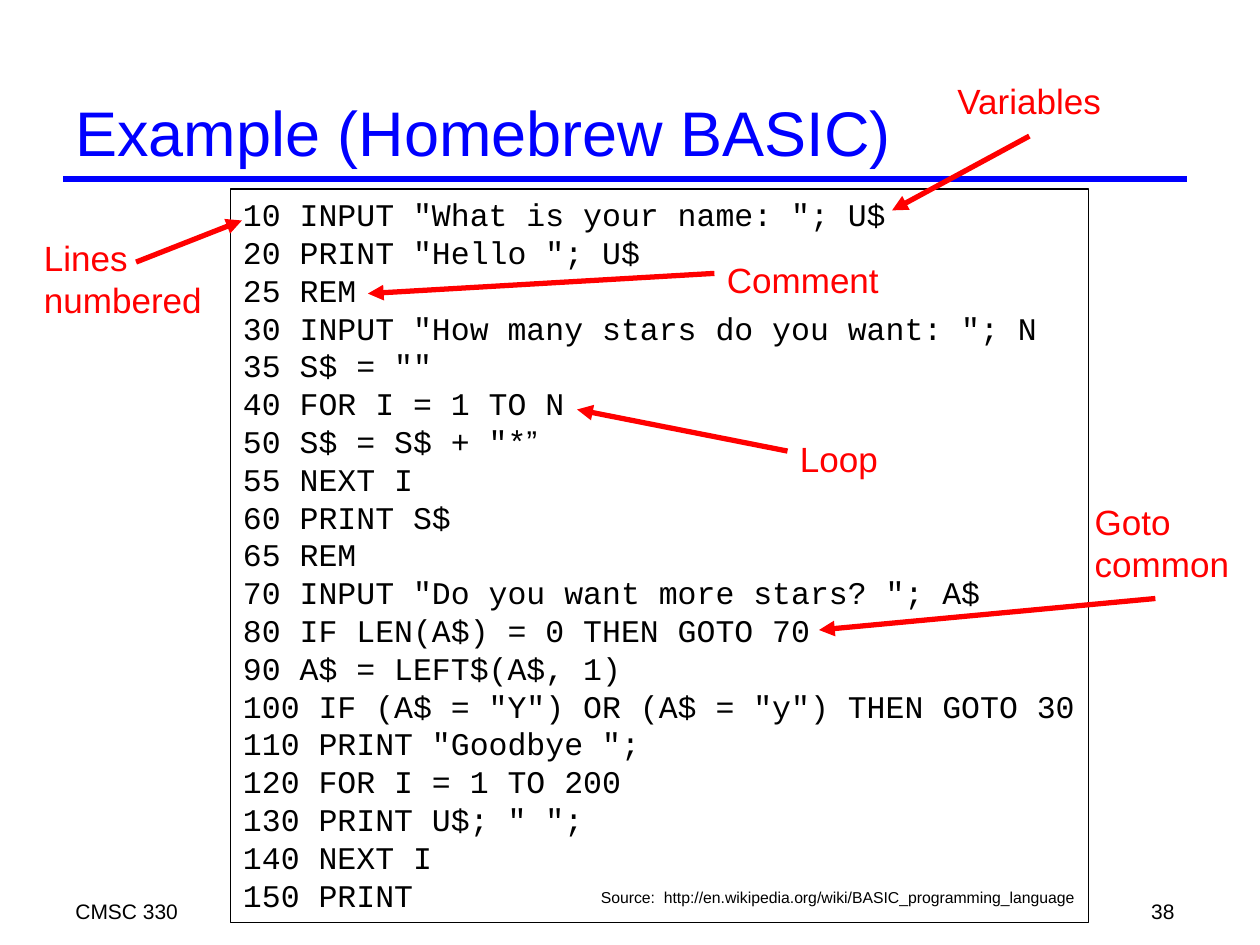
from lxml import etree
from pptx import Presentation
from pptx.dml.color import RGBColor
from pptx.enum.shapes import MSO_CONNECTOR, MSO_SHAPE
from pptx.enum.text import MSO_ANCHOR, PP_ALIGN
from pptx.oxml.ns import qn
from pptx.util import Inches, Pt

STRAIGHT = MSO_CONNECTOR.STRAIGHT
RECTANGLE = MSO_SHAPE.RECTANGLE
TOP, MIDDLE = MSO_ANCHOR.TOP, MSO_ANCHOR.MIDDLE
LEFT, RIGHT = PP_ALIGN.LEFT, PP_ALIGN.RIGHT

BLACK = RGBColor(0x00, 0x00, 0x00)
BLUE = RGBColor(0x00, 0x00, 0xFF)
RED = RGBColor(0xFF, 0x00, 0x00)

TITLE = {"name": "Arial", "size": Pt(36), "color": BLUE}
FOOTER = {"name": "Arial", "size": Pt(12), "color": BLACK}
CODE = {"name": "Courier New", "size": Pt(18), "color": BLACK}
CODE_QUOTE = {**CODE, "name": "Arial"}
SOURCE = {"name": "Arial", "size": Pt(9), "color": BLACK}
CALLOUT = {"name": "Arial", "size": Pt(20), "color": RED}

PROGRAM = '''10 INPUT "What is your name: "; U$
20 PRINT "Hello "; U$
25 REM
30 INPUT "How many stars do you want: "; N
35 S$ = ""
40 FOR I = 1 TO N
50 S$ = S$ + "*”
55 NEXT I
60 PRINT S$
65 REM
70 INPUT "Do you want more stars? "; A$
80 IF LEN(A$) = 0 THEN GOTO 70
90 A$ = LEFT$(A$, 1)
100 IF (A$ = "Y") OR (A$ = "y") THEN GOTO 30
110 PRINT "Goodbye ";
120 FOR I = 1 TO 200
130 PRINT U$; " ";
140 NEXT I
150 PRINT'''

# Label lines, label box, arrow start, arrow tip
CALLOUTS = [
    (["Lines", "numbered"], (0.25, 1.83, 1.45, 0.77), (1.08, 2.08), (1.92, 1.75)),
    (["Variables"], (7.5, 0.58, 1.36, 0.43), (8.17, 1.08), (7.08, 1.67)),
    (["Comment"], (5.67, 2, 1.41, 0.43), (5.67, 2.17), (2.92, 2.33)),
    (["Loop"], (6.25, 3.42, 0.82, 0.43), (6.25, 3.58), (4.58, 3.25)),
    (["Goto", "common"], (8.59, 3.92, 1.27, 0.77), (9.17, 4.75), (6.5, 5)),
]


def add_span(para, text, style):
    span = para.add_run()
    span.text = text
    for key, value in style.items():
        if key == "color":
            span.font.color.rgb = value
        else:
            setattr(span.font, key, value)


def write_lines(shape, lines, style, align=LEFT, anchor=TOP, wrap=False):
    """Each line becomes a paragraph; a curly quote takes its own font."""
    frame = shape.text_frame
    frame.word_wrap = wrap
    frame.vertical_anchor = anchor
    for index, line in enumerate(lines):
        para = frame.add_paragraph() if index else frame.paragraphs[0]
        para.alignment = align
        body = line.removesuffix("”")
        add_span(para, body, style)
        if body != line:
            add_span(para, "”", CODE_QUOTE)


def add_text(page, box, lines, style, **layout):
    shape = page.shapes.add_textbox(*map(Inches, box))
    write_lines(shape, lines, style, **layout)


def add_line(page, start, end, color, arrow=False):
    line = page.shapes.add_connector(STRAIGHT, *map(Inches, (*start, *end)))
    line.line.color.rgb = color
    line.line.width = Pt(3)
    if arrow:
        etree.SubElement(line.line._get_or_add_ln(), qn("a:tailEnd"), type="triangle")
    etree.SubElement(line._element.spPr, qn("a:effectLst"))


def add_heading(page, box):
    left, top, width, height = box
    bottom = top + height
    add_line(page, (left, bottom), (left + width, bottom), BLUE)
    add_text(page, box, ["Example (Homebrew BASIC)"], TITLE, anchor=MIDDLE, wrap=True)


def add_footer(page, box):
    left, top, width, height = box
    number_width = 2.08
    add_text(page, (left, top, 6.08, height), ["CMSC 330"], FOOTER, wrap=True)
    add_text(page, (left + width - number_width, top, number_width, height),
             ["38"], FOOTER, align=RIGHT, wrap=True)


def add_program(page, box):
    left, top, width, height = box
    listing = page.shapes.add_shape(RECTANGLE, *map(Inches, box))
    listing.shadow.inherit = False
    listing.fill.background()
    listing.line.color.rgb = BLACK
    listing.line.width = Pt(0.75)
    write_lines(listing, PROGRAM.splitlines(), CODE)
    # Source note in the lower right corner
    note_width = 3.96
    add_text(page, (left + width - note_width - 0.01, top + height - 0.32, note_width, 0.25),
             ["Source:  http://en.wikipedia.org/wiki/BASIC_programming_language"], SOURCE)


def add_callout(page, box, lines, start, tip):
    add_text(page, box, lines, CALLOUT)
    add_line(page, start, tip, RED, arrow=True)


def main():
    deck = Presentation()
    deck.slide_width, deck.slide_height = Inches(10), Inches(7.5)
    page = deck.slides.add_slide(deck.slide_layouts[6])
    add_heading(page, (0.5, 0.67, 8.92, 0.75))
    add_footer(page, (0.5, 7.08, 8.92, 0.25))
    add_program(page, (1.83, 1.5, 6.81, 5.82))
    for lines, box, start, tip in CALLOUTS:
        add_callout(page, box, lines, start, tip)
    deck.save("out.pptx")


if __name__ == "__main__":
    main()
